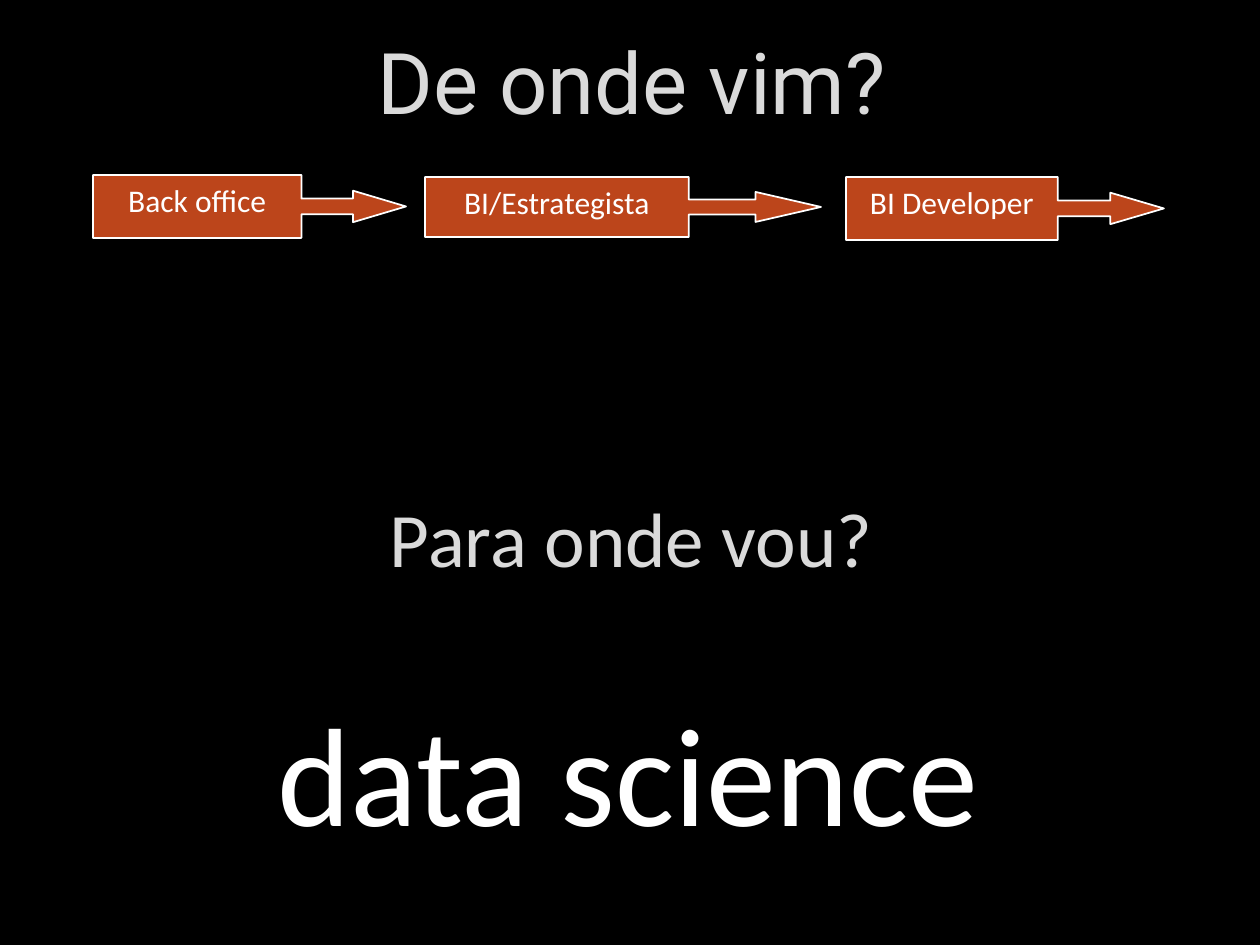
import pptx
import pptx.util
import pptx.dml.color
import pptx.enum.shapes
import pptx.enum.text
import pptx.oxml
import pptx.oxml.ns
from dataclasses import dataclass

PX = 914400 / 126
ALIGN = pptx.enum.text.PP_ALIGN
ANCHOR = pptx.enum.text.MSO_ANCHOR


@dataclass(frozen=True)
class Theme:
    background: str = "000000"
    accent: str = "BC451B"
    heading: str = "DADADA"
    text: str = "FFFFFF"
    outline: str = "404040"
    title_font: str = "Roboto"
    body_font: str = "Calibri"
    title_size: float = 48.6
    question_size: float = 44
    answer_size: float = 80
    step_size: float = 18


THEME = Theme()


def emu(*lengths):
    return [round(n * PX) for n in lengths]


def rgb(value):
    return pptx.dml.color.RGBColor.from_string(value)


def set_text(sp, text, *, size, color=THEME.text, font=THEME.body_font,
             align=ALIGN.CENTER, anchor=ANCHOR.TOP, wrap=True):
    tf = sp.text_frame
    tf.word_wrap = wrap
    tf.vertical_anchor = anchor
    p = tf.paragraphs[0]
    p.alignment = align
    r = p.add_run()
    r.text = text
    r.font.size = pptx.util.Pt(size)
    r.font.name = font
    r.font.color.rgb = rgb(color)
    return r


def add_text(s, box, text, **style):
    sp = s.shapes.add_textbox(*emu(*box))
    return sp, set_text(sp, text, **style)


def add_outline(r, color):
    ln = pptx.oxml.parse_xml(
        f'<a:ln {pptx.oxml.ns.nsdecls("a")} w="9525"><a:solidFill>'
        f'<a:srgbClr val="{color}"><a:alpha val="10000"/></a:srgbClr>'
        '</a:solidFill><a:prstDash val="solid"/></a:ln>')
    r.font._element.insert(0, ln)


def add_step(s, box, text, head_length):
    kind = pptx.enum.shapes.MSO_SHAPE.RIGHT_ARROW_CALLOUT
    sp = s.shapes.add_shape(kind, *emu(*box))
    for i, value in enumerate((0.25, 0.25, head_length, 0.666)):
        sp.adjustments[i] = value
    sp.shadow.inherit = False
    sp.fill.solid()
    sp.fill.fore_color.rgb = rgb(THEME.accent)
    sp.line.color.rgb = rgb(THEME.text)
    sp.line.width = pptx.util.Pt(1)
    set_text(sp, text, size=THEME.step_size)


def main():
    prs = pptx.Presentation()
    prs.slide_width, prs.slide_height = emu(1260, 945)
    s = prs.slides.add_slide(prs.slide_layouts[6])
    s.background.fill.solid()
    s.background.fill.fore_color.rgb = rgb(THEME.background)

    _, r = add_text(s, (96, 25, 1071, 113), "De onde vim?",
                    size=THEME.title_size, color=THEME.heading,
                    font=THEME.title_font, anchor=ANCHOR.BOTTOM)
    add_outline(r, THEME.outline)

    steps = [
        ((93, 175, 313, 63), "Back office", 0.84),
        ((425, 177, 396, 60), "BI/Estrategista", 1.09),
        ((846, 177, 318, 63), "BI Developer", 0.85),
    ]
    for box, text, head_length in steps:
        add_step(s, box, text, head_length)

    add_text(s, (96, 480, 1071, 113), "Para onde vou?",
             size=THEME.question_size, color=THEME.heading,
             anchor=ANCHOR.MIDDLE)
    sp, _ = add_text(s, (265, 680, 733, 183), "data science",
                     size=THEME.answer_size, align=ALIGN.LEFT, wrap=False)
    sp.text_frame.auto_size = pptx.enum.text.MSO_AUTO_SIZE.SHAPE_TO_FIT_TEXT

    prs.save("out.pptx")


if __name__ == "__main__":
    main()
